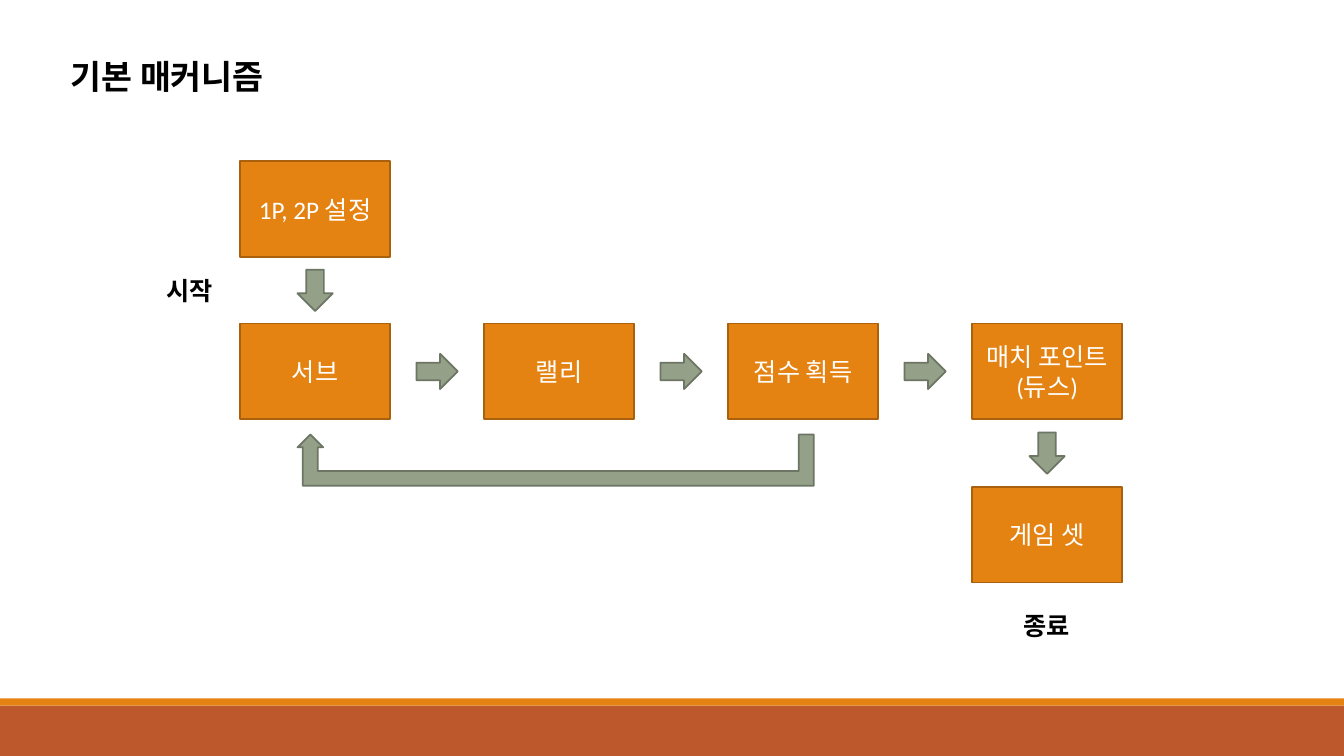
from pptx import Presentation
from pptx.dml.color import RGBColor
from pptx.enum.shapes import MSO_SHAPE as Shape
from pptx.enum.text import MSO_ANCHOR as Anchor, MSO_AUTO_SIZE as AutoSize, PP_ALIGN as Align
from pptx.util import Pt

PX = 9144  # EMU per px, 100 px to the inch
COLORS = {
    "orange": "E48312", "orange_edge": "A9610D", "rust": "BD582C",
    "sage": "94A088", "sage_edge": "6D7665",
    "white": "FFFFFF", "black": "000000",
}


class FlowSlide:
    font = "Calibri"
    box_size = (149, 95)
    arrow_size = (35, 41)

    def __init__(self, deck):
        self.slide = deck.slides.add_slide(deck.slide_layouts[5])

    def color(self, name):
        return RGBColor.from_string(COLORS[name])

    def set_text(self, shape, text, size, color, bold=False, align=Align.CENTER):
        frame = shape.text_frame
        frame.word_wrap = True
        frame.text = text
        paragraph = frame.paragraphs[0]
        paragraph.alignment = align
        font = paragraph.runs[0].font
        font.name, font.size, font.bold = self.font, Pt(size), bold
        font.color.rgb = self.color(color)
        return frame

    def title(self, text, left, top, width, height):
        heading = self.slide.shapes.title
        heading.left, heading.top = left * PX, top * PX
        heading.width, heading.height = width * PX, height * PX
        frame = self.set_text(heading, text, 24, "black", True, Align.LEFT)
        frame.auto_size = AutoSize.NONE
        frame.vertical_anchor = Anchor.TOP

    def shape(self, kind, left, top, width, height, fill, edge=None):
        shape = self.slide.shapes.add_shape(
            kind, round(left * PX), round(top * PX), width * PX, height * PX)
        shape.shadow.inherit = False
        shape.fill.solid()
        shape.fill.fore_color.rgb = self.color(fill)
        if edge:
            shape.line.color.rgb = self.color(edge)
            shape.line.width = Pt(1.25)
        else:
            shape.line.fill.background()
        return shape

    def step(self, text, left, top):
        box = self.shape(Shape.RECTANGLE, left, top, *self.box_size, "orange", "orange_edge")
        self.set_text(box, text, 18, "white").vertical_anchor = Anchor.MIDDLE

    def arrow(self, start, end):
        """Centre a block arrow in the gap between two steps."""
        width, height = self.arrow_size
        left = (start[0] + end[0] + self.box_size[0] - width) / 2
        top = (start[1] + end[1] + self.box_size[1] - height) / 2
        arrow = self.shape(Shape.DOWN_ARROW, left, top, width, height, "sage", "sage_edge")
        if start[1] == end[1]:
            arrow.rotation = 270

    def return_arrow(self, left, top, width, height):
        arrow = self.shape(Shape.U_TURN_ARROW, left, top, width, height, "sage", "sage_edge")
        arrow.rotation = 180
        for index, value in enumerate((0.29, 0.25, 0.25, 0, 1)):
            arrow.adjustments[index] = value

    def label(self, text, left, top, width=130, height=40):
        box = self.slide.shapes.add_textbox(left * PX, top * PX, width * PX, height * PX)
        self.set_text(box, text, 18, "black", bold=True)


def main():
    deck = Presentation()
    deck.slide_width, deck.slide_height = 1333 * PX, 750 * PX
    flow = FlowSlide(deck)

    # Footer bands
    flow.shape(Shape.RECTANGLE, 0, 700, 1333, 50, "rust")
    flow.shape(Shape.RECTANGLE, 0, 693, 1333, 7, "orange")

    flow.title("기본 매커니즘", 60, 50, 693, 50)

    # Game steps in playing order
    columns = [238 + 242 * column for column in range(4)]
    setup_row, play_row, end_row = 160, 321, 483
    steps = [
        ("1P, 2P 설정", (columns[0], setup_row)),
        ("서브", (columns[0], play_row)),
        ("랠리", (columns[1], play_row)),
        ("점수 획득", (columns[2], play_row)),
        ("매치 포인트 (듀스)", (columns[3], play_row)),
        ("게임 셋", (columns[3], end_row)),
    ]
    for text, place in steps:
        flow.step(text, *place)

    # Arrows from each step to the next, and back from score to serve
    for (_, start), (_, end) in zip(steps, steps[1:]):
        flow.arrow(start, end)
    flow.return_arrow(295, 431, 512, 51)

    # Start and end labels
    flow.label("시작", 123, 268)
    flow.label("종료", 973, 601)

    deck.save("out.pptx")


if __name__ == "__main__":
    main()
